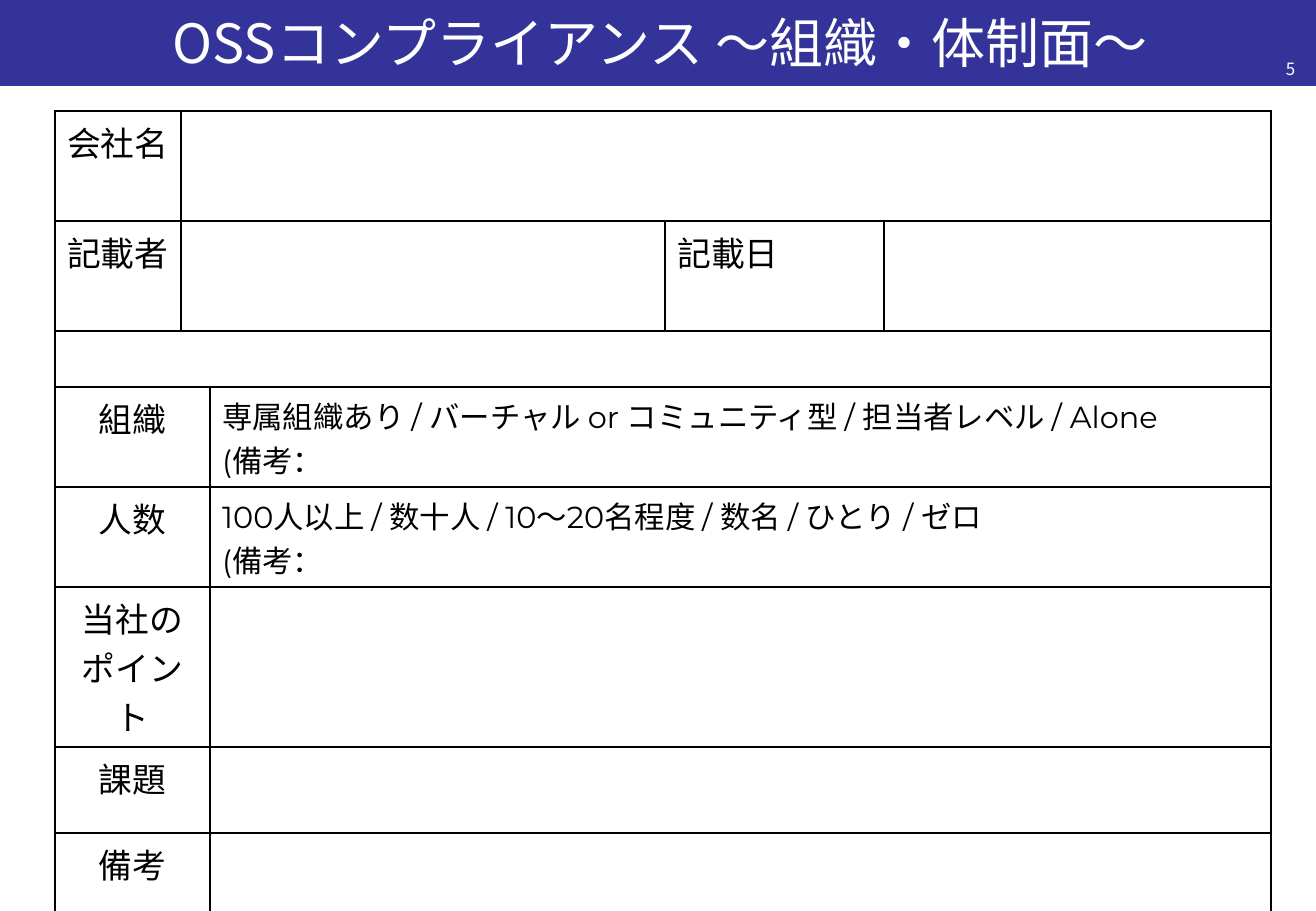
"""Build the OSS compliance organisation sheet as one slide."""
from dataclasses import dataclass

from lxml import etree
from pptx import Presentation
from pptx import util as u
from pptx.dml.color import RGBColor
from pptx.enum import shapes, text
from pptx.oxml import ns

PX = 7526
COLORS = {"band": "333399", "paper": "FFFFFF", "ink": "000000"}
CJK, LATIN = "Noto Sans CJK JP", "Montserrat"
LEFT, CENTER, RIGHT = text.PP_ALIGN.LEFT, text.PP_ALIGN.CENTER, text.PP_ALIGN.RIGHT
TOP, MIDDLE = text.MSO_ANCHOR.TOP, text.MSO_ANCHOR.MIDDLE
COLUMNS = (126, 29, 455, 219, 387)
ROWS = (110, 110, 56, 100, 100, 160, 86, 281)


@dataclass(frozen=True)
class Style:
    size: int
    font: str = LATIN
    color: str = "ink"
    align: text.PP_ALIGN = LEFT


@dataclass(frozen=True)
class Label:
    box: tuple[int, int, int, int]
    line: str
    style: Style
    anchor: text.MSO_ANCHOR


@dataclass(frozen=True)
class Entry:
    row: int
    col: int
    span: int = 1
    lines: tuple[str, ...] = ()
    style: Style = Style(20)


HEADING = Style(20, align=CENTER)
CHOICES = Style(18)
LABELS = (
    Label((68, 0, 1185, 83), "OSSコンプライアンス ～組織・体制面～",
          Style(32, CJK, "paper", CENTER), MIDDLE),
    Label((1233, 53, 74, 32), "5", Style(10, CJK, "paper", RIGHT), TOP),
)
TOPICS = (
    ("組織", ("専属組織あり / バーチャル or コミュニティ型 / 担当者レベル / Alone", "(備考：")),
    ("人数", ("100人以上 / 数十人 / 10～20名程度 / 数名 / ひとり / ゼロ", "(備考：")),
    ("当社のポイント", ()),
    ("課題", ()),
    ("備考", ()),
)
ENTRIES = [
    Entry(0, 0, lines=("会社名",)),
    Entry(0, 1, 4),
    Entry(1, 0, lines=("記載者",)),
    Entry(1, 1, 2),
    Entry(1, 3, lines=("記載日",)),
    Entry(2, 0, 5),
]
for row, (topic, choices) in enumerate(TOPICS, start=3):
    ENTRIES += [Entry(row, 0, 2, (topic,), HEADING), Entry(row, 2, 3, choices, CHOICES)]


def rgb(name: str) -> RGBColor:
    return RGBColor.from_string(COLORS[name])


def write(tf, lines: tuple[str, ...], style: Style) -> None:
    for i, line in enumerate(lines):
        p = tf.add_paragraph() if i else tf.paragraphs[0]
        p.alignment = style.align
        r = p.add_run()
        r.text = line
        r.font.color.rgb = rgb(style.color)
        for key, value in {"size": u.Pt(style.size), "name": style.font}.items():
            setattr(r.font, key, value)
        etree.SubElement(r.font._element, ns.qn("a:ea"), typeface=CJK)


def add_band(s) -> None:
    sp = s.shapes.add_shape(shapes.MSO_SHAPE.RECTANGLE, 0, 0, 1316 * PX, 86 * PX)
    sp.shadow.inherit = False
    sp.fill.solid()
    sp.fill.fore_color.rgb = rgb("band")
    sp.line.fill.background()


def add_label(s, label: Label) -> None:
    sp = s.shapes.add_textbox(*(n * PX for n in label.box))
    tf = sp.text_frame
    for key, value in {"word_wrap": True, "vertical_anchor": label.anchor}.items():
        setattr(tf, key, value)
    write(tf, (label.line,), label.style)


def finish_cell(cell) -> None:
    cell.fill.solid()
    cell.fill.fore_color.rgb = rgb("paper")
    tc_pr = cell._tc.get_or_add_tcPr()
    for i, side in enumerate("LRTB"):
        ln = etree.Element(ns.qn(f"a:ln{side}"), w=str(u.Pt(1)))
        fill = etree.SubElement(ln, ns.qn("a:solidFill"))
        etree.SubElement(fill, ns.qn("a:srgbClr"), val=COLORS["ink"])
        tc_pr.insert(i, ln)


def add_form(s) -> None:
    frame = s.shapes.add_table(len(ROWS), len(COLUMNS), 55 * PX, 111 * PX,
                               sum(COLUMNS) * PX, sum(ROWS) * PX)
    table = frame.table
    for key, value in {"first_row": False, "horz_banding": False}.items():
        setattr(table, key, value)
    for column, width in zip(table.columns, COLUMNS):
        column.width = width * PX
    for row, height in zip(table.rows, ROWS):
        row.height = height * PX
    for cell in table.iter_cells():
        finish_cell(cell)
    for entry in ENTRIES:
        cell = table.cell(entry.row, entry.col)
        if entry.span > 1:
            cell.merge(table.cell(entry.row, entry.col + entry.span - 1))
        write(cell.text_frame, entry.lines, entry.style)


def main() -> None:
    prs = Presentation()
    for key, value in {"slide_width": 1316 * PX, "slide_height": 911 * PX}.items():
        setattr(prs, key, value)
    s = prs.slides.add_slide(prs.slide_layouts[6])
    add_band(s)
    for label in LABELS:
        add_label(s, label)
    add_form(s)
    prs.save("out.pptx")


if __name__ == "__main__":
    main()
